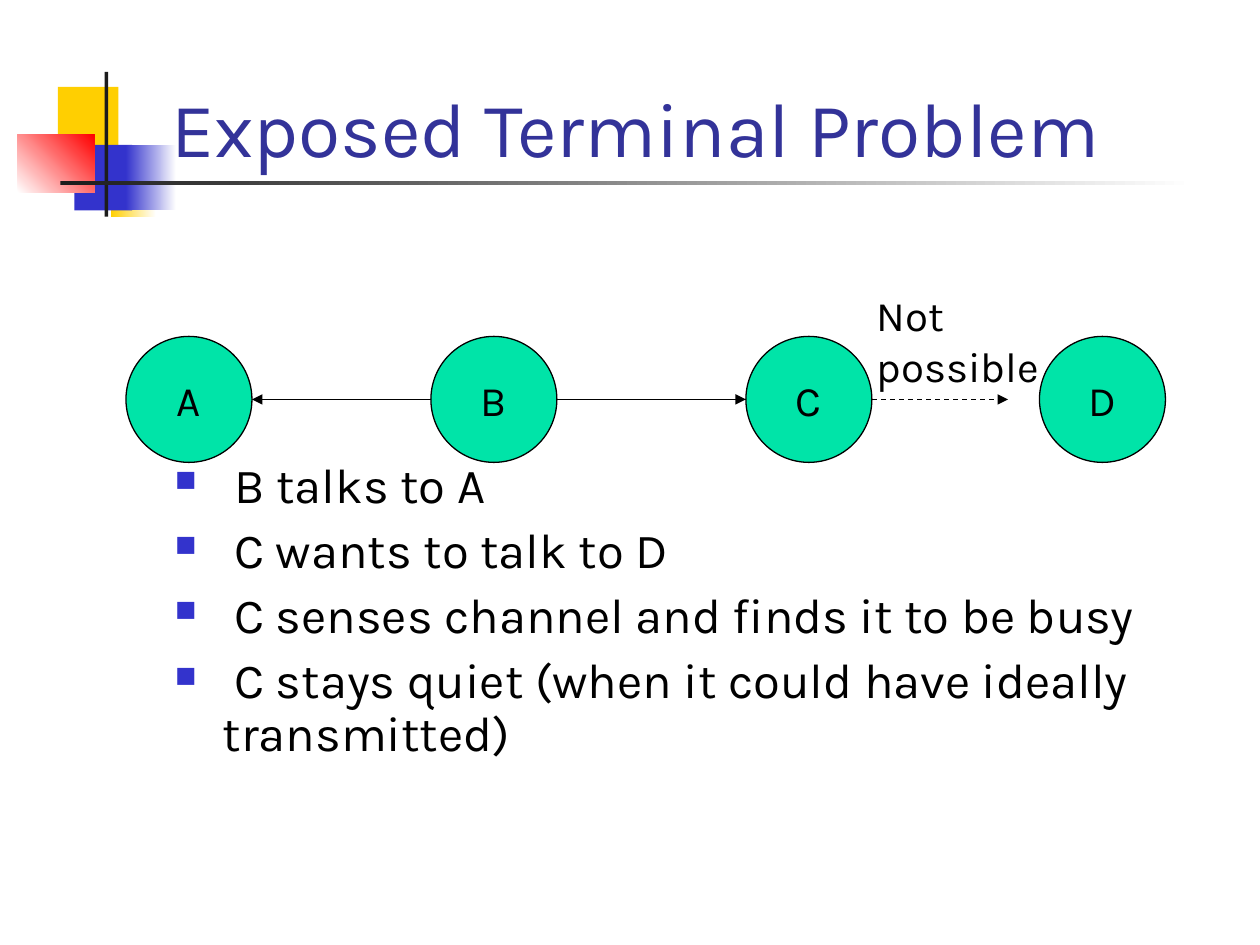
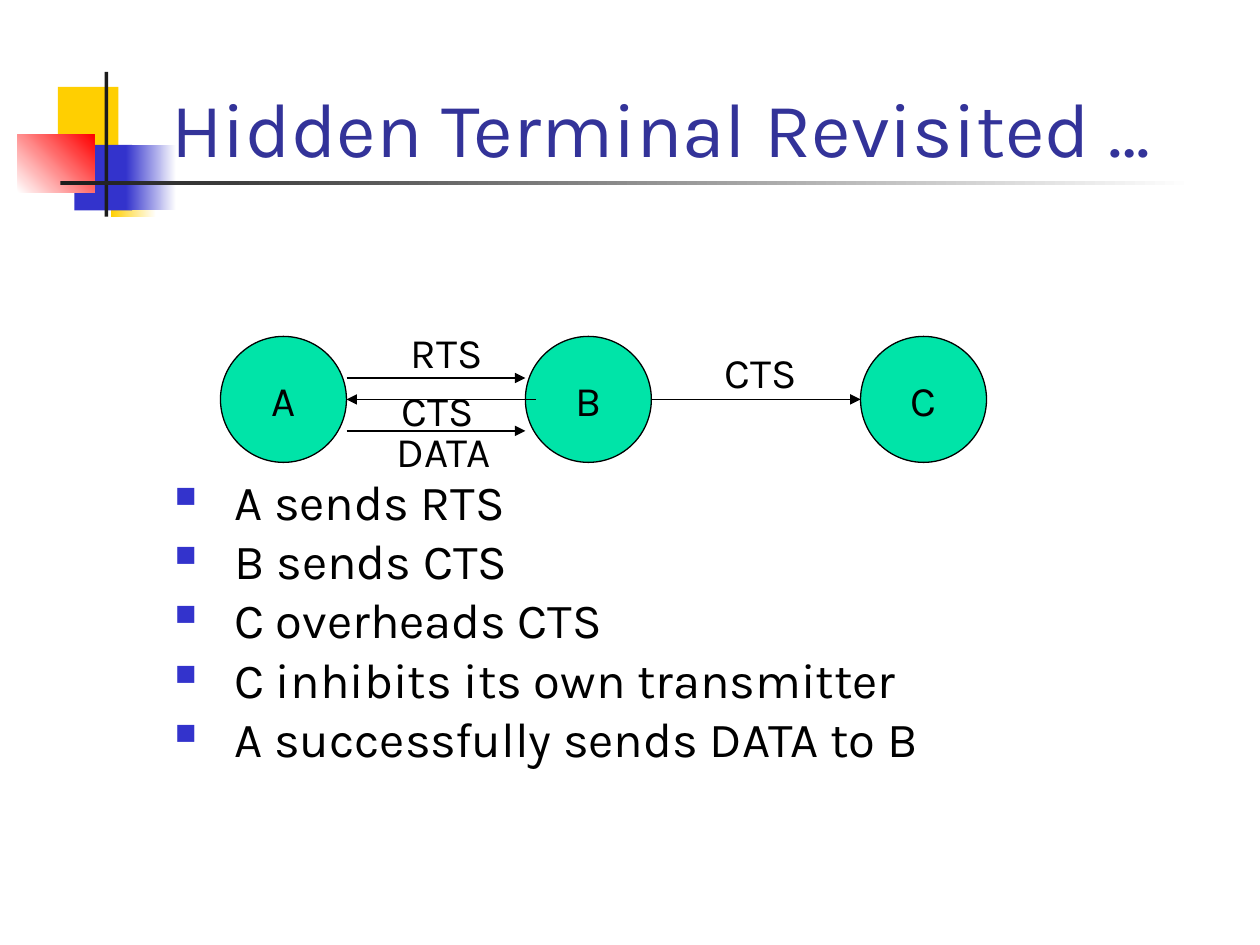
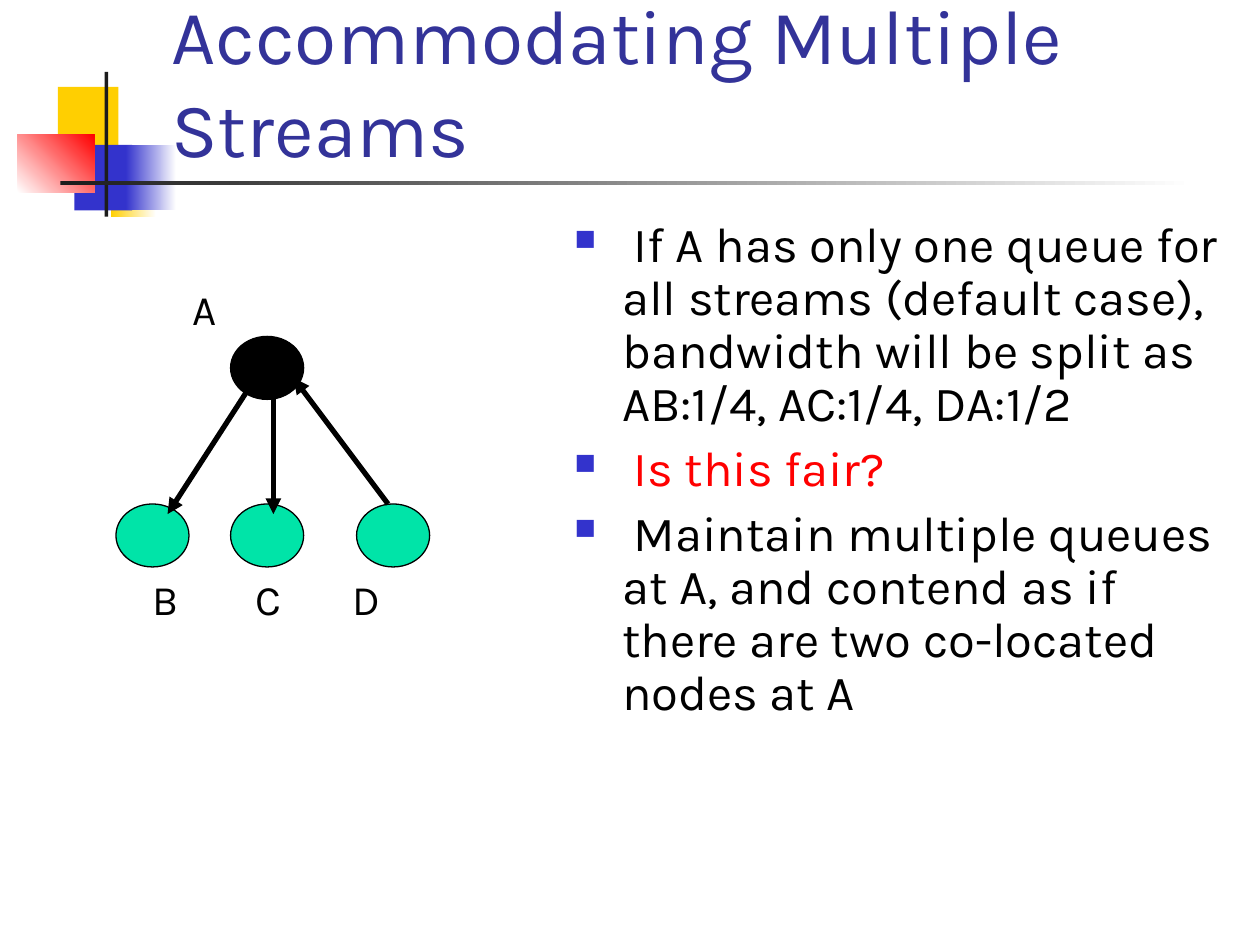
from dataclasses import dataclass
from typing import Any, NamedTuple

from lxml import etree
from pptx import Presentation
from pptx.dml.color import RGBColor
from pptx.enum.dml import MSO_LINE
from pptx.enum.shapes import MSO_CONNECTOR, MSO_SHAPE
from pptx.enum.text import MSO_ANCHOR, MSO_AUTO_SIZE, PP_ALIGN
from pptx.oxml.ns import qn
from pptx.util import Inches, Length, Pt

RECTANGLE, OVAL = MSO_SHAPE.RECTANGLE, MSO_SHAPE.OVAL
STRAIGHT = MSO_CONNECTOR.STRAIGHT
DASH = MSO_LINE.DASH
LEFT, CENTER = PP_ALIGN.LEFT, PP_ALIGN.CENTER
MIDDLE, BOTTOM = MSO_ANCHOR.MIDDLE, MSO_ANCHOR.BOTTOM
NO_FIT, GROW = MSO_AUTO_SIZE.NONE, MSO_AUTO_SIZE.SHAPE_TO_FIT_TEXT
TITLE_ONLY = 5


@dataclass(frozen=True)
class Theme:
    font: str = "Karla"
    title: str = "333399"
    ink: str = "000000"
    node: str = "00E4A8"
    alert: str = "FF0000"
    white: str = "FFFFFF"
    yellow: str = "FFCF01"
    blue: str = "3333CC"
    charcoal: str = "1C1C1C"
    title_size: Length = Pt(44)
    body_size: Length = Pt(28)
    label_size: Length = Pt(24)
    thin: Length = Pt(0.75)
    thick: Length = Pt(3)


THEME = Theme()


class Box(NamedTuple):
    left: float
    top: float
    width: float
    height: float

    def lengths(self) -> list[Length]:
        return [Inches(value) for value in self]


class Block(NamedTuple):
    box: Box
    colors: tuple[str, ...]
    angle: float = 0


class Node(NamedTuple):
    box: Box
    text: str = ""
    color: str = THEME.node


class Arrow(NamedTuple):
    start: tuple[float, float]
    end: tuple[float, float]
    width: Length = THEME.thin
    dashed: bool = False


class Label(NamedTuple):
    box: Box
    lines: tuple[str, ...]
    tabs: tuple[float, ...] = ()


class Bullet(NamedTuple):
    text: str
    color: str = THEME.ink


class Page(NamedTuple):
    title: str
    body: Box
    line_spacing: float
    bullets: list[Bullet]
    nodes: list[Node]
    arrows: list[Arrow]
    labels: list[Label]


# Shared decoration and title place
TITLE_BOX = Box(1.26, 0.17, 8.52, 1.25)
BLOCKS = [
    Block(Box(0.46, 0.69, 0.48, 0.52), (THEME.yellow,)),
    Block(Box(0.88, 1.2, 0.36, 0.52), (THEME.yellow, THEME.white)),
    Block(Box(0.59, 1.15, 0.46, 0.52), (THEME.blue,)),
    Block(Box(1, 1.15, 0.4, 0.52), (THEME.blue, THEME.white)),
    Block(Box(0.14, 1.07, 0.61, 0.46), (THEME.white, THEME.alert), 45),
    Block(Box(0.83, 0.57, 0.03, 1.15), (THEME.charcoal,)),
    Block(Box(0.48, 1.44, 9, 0.03), (THEME.charcoal, THEME.white)),
]


def terminal(left: float, text: str) -> Node:
    return Node(Box(left, 2.67, 1, 1), text)


def station(left: float, top: float, color: str = THEME.node) -> Node:
    return Node(Box(left, top, 0.58, 0.5), color=color)


# Slide content
PAGES = [
    Page(
        "Exposed Terminal Problem",
        Box(1.29, 3.61, 8.5, 2.58),
        0.9,
        [
            Bullet(" B talks to A"),
            Bullet(" C wants to talk to D"),
            Bullet(" C senses channel and finds it to be busy"),
            Bullet(" C stays quiet (when it could have ideally transmitted)"),
        ],
        [terminal(1, "A"), terminal(3.42, "B"), terminal(5.92, "C"), terminal(8.25, "D")],
        [
            Arrow((3.42, 3.17), (2, 3.17)),
            Arrow((4.42, 3.17), (5.92, 3.17)),
            Arrow((6.92, 3.17), (8, 3.17), dashed=True),
        ],
        [Label(Box(6.86, 2.25, 1.49, 0.9), ("Not", "possible"))],
    ),
    Page(
        "Hidden Terminal Revisited …",
        Box(1.29, 3.78, 8.5, 2.42),
        0.8,
        [
            Bullet(" A sends RTS"),
            Bullet(" B sends CTS"),
            Bullet(" C overheads CTS"),
            Bullet(" C inhibits its own transmitter"),
            Bullet(" A successfully sends DATA to B"),
        ],
        [terminal(1.75, "A"), terminal(4.17, "B"), terminal(6.83, "C")],
        [
            Arrow((2.75, 3), (4.17, 3)),
            Arrow((5.17, 3.17), (6.83, 3.17)),
            Arrow((4.25, 3.17), (2.75, 3.17)),
            Arrow((2.75, 3.42), (4.17, 3.42)),
        ],
        [
            Label(Box(3.16, 2.54, 0.77, 0.5), ("RTS",)),
            Label(Box(5.65, 2.7, 0.78, 0.5), ("CTS",)),
            Label(Box(3.05, 3.33, 1.05, 0.5), ("DATA",)),
            Label(Box(3.09, 3, 0.78, 0.5), ("CTS",)),
        ],
    ),
    Page(
        "Accommodating Multiple Streams",
        Box(4.46, 1.7, 5.33, 4.5),
        0.9,
        [
            Bullet(
                " If A has only one queue for all streams (default case), "
                "bandwidth will be split as AB:1/4, AC:1/4, DA:1/2"
            ),
            Bullet(" Is this fair?", THEME.alert),
            Bullet(
                " Maintain multiple queues at A, and contend as if "
                "there are two co-located nodes at A"
            ),
        ],
        [station(1.83, 2.67, THEME.ink)] + [station(left, 4) for left in (0.92, 1.83, 2.83)],
        [
            Arrow((2.08, 2.92), (1.33, 4.08), THEME.thick),
            Arrow((2.17, 3), (2.17, 4.08), THEME.thick),
            Arrow((3.08, 4), (2.33, 3), THEME.thick),
        ],
        [
            Label(Box(1.43, 2.2, 0.41, 0.5), ("A",)),
            Label(Box(1.11, 4.5, 2.17, 0.5), ("B\tC\tD",), (0.82, 1.59)),
        ],
    ),
]


# Formatting helpers
def apply_format(target: Any, values: dict[str, Any]) -> None:
    for name, value in values.items():
        setattr(target, name, value)


def add_element(parent: Any, tag: str, **attributes: str) -> Any:
    return etree.SubElement(parent, qn(tag), attributes)


def style_font(paragraph: Any, size: Length, color: str) -> None:
    for run in paragraph.runs:
        apply_format(run.font, {"name": THEME.font, "size": size})
        run.font.color.rgb = RGBColor.from_string(color)


def fill_solid(shape: Any, color: str) -> None:
    shape.fill.solid()
    shape.fill.fore_color.rgb = RGBColor.from_string(color)


# Drawing functions
def draw_block(slide: Any, block: Block) -> Any:
    shape = slide.shapes.add_shape(RECTANGLE, *block.box.lengths())
    shape.shadow.inherit = False
    shape.line.fill.background()
    if len(block.colors) == 1:
        fill_solid(shape, block.colors[0])
    else:
        shape.fill.gradient()
        shape.fill.gradient_angle = block.angle
        for stop, color in zip(shape.fill.gradient_stops, block.colors):
            stop.color.rgb = RGBColor.from_string(color)
    return shape


def decorate_layout(layout: Any, slide: Any) -> None:
    """Draw the blocks on a slide, then move them to its layout."""
    for number, block in enumerate(BLOCKS, start=100):
        element = draw_block(slide, block).element
        element.nvSpPr.cNvPr.id = number
        layout.shapes.element.append(element)


def write_title(slide: Any, text: str) -> None:
    title = slide.shapes.title
    apply_format(title, dict(zip(("left", "top", "width", "height"), TITLE_BOX.lengths())))
    frame = title.text_frame
    frame.text = text
    apply_format(frame, {"auto_size": NO_FIT, "word_wrap": True, "vertical_anchor": BOTTOM})
    paragraph = frame.paragraphs[0]
    paragraph.alignment = LEFT
    style_font(paragraph, THEME.title_size, THEME.title)


def draw_body(slide: Any, page: Page) -> None:
    frame = slide.shapes.add_textbox(*page.body.lengths()).text_frame
    frame.word_wrap = True
    frame.text = "\n".join(bullet.text for bullet in page.bullets)
    for index, (paragraph, bullet) in enumerate(zip(frame.paragraphs, page.bullets)):
        properties = paragraph._p.get_or_add_pPr()
        indent = Inches(0.38)
        properties.set("marL", str(indent))
        properties.set("indent", str(-indent))
        bullet_color = add_element(properties, "a:buClr")
        add_element(bullet_color, "a:srgbClr", val=THEME.blue)
        add_element(properties, "a:buSzPct", val="60000")
        add_element(properties, "a:buChar", char="■")
        space_before = Pt(7) if index else Pt(0)
        apply_format(
            paragraph, {"line_spacing": page.line_spacing, "space_before": space_before}
        )
        style_font(paragraph, THEME.body_size, bullet.color)


def draw_node(slide: Any, node: Node) -> None:
    shape = slide.shapes.add_shape(OVAL, *node.box.lengths())
    shape.shadow.inherit = False
    fill_solid(shape, node.color)
    shape.line.width = THEME.thin
    shape.line.color.rgb = RGBColor.from_string(THEME.ink)
    if node.text:
        frame = shape.text_frame
        frame.text = node.text
        apply_format(frame, {"word_wrap": False, "vertical_anchor": MIDDLE})
        frame.paragraphs[0].alignment = CENTER
        style_font(frame.paragraphs[0], THEME.label_size, THEME.ink)


def draw_arrow(slide: Any, arrow: Arrow) -> None:
    ends = [Inches(value) for value in (*arrow.start, *arrow.end)]
    connector = slide.shapes.add_connector(STRAIGHT, *ends)
    line = connector.line
    line.width = arrow.width
    line.color.rgb = RGBColor.from_string(THEME.ink)
    if arrow.dashed:
        line.dash_style = DASH
    add_element(connector.get_or_add_ln(), "a:tailEnd", type="triangle")
    add_element(connector.element.spPr, "a:effectLst")


def draw_label(slide: Any, label: Label) -> None:
    frame = slide.shapes.add_textbox(*label.box.lengths()).text_frame
    apply_format(frame, {"word_wrap": False, "auto_size": GROW})
    frame.text = "\n".join(label.lines)
    for paragraph in frame.paragraphs:
        if label.tabs:
            tab_list = add_element(paragraph._p.get_or_add_pPr(), "a:tabLst")
            for position in label.tabs:
                add_element(tab_list, "a:tab", pos=str(Inches(position)), algn="l")
        style_font(paragraph, THEME.label_size, THEME.ink)


def draw_page(slide: Any, page: Page) -> None:
    write_title(slide, page.title)
    draw_body(slide, page)
    for node in page.nodes:
        draw_node(slide, node)
    for arrow in page.arrows:
        draw_arrow(slide, arrow)
    for label in page.labels:
        draw_label(slide, label)


def main() -> None:
    presentation = Presentation()
    apply_format(presentation, {"slide_width": Inches(10), "slide_height": Inches(7.5)})
    layout = presentation.slide_layouts[TITLE_ONLY]
    slides = [presentation.slides.add_slide(layout) for _ in PAGES]
    decorate_layout(layout, slides[0])
    for slide, page in zip(slides, PAGES):
        draw_page(slide, page)
    presentation.save("out.pptx")


if __name__ == "__main__":
    main()
